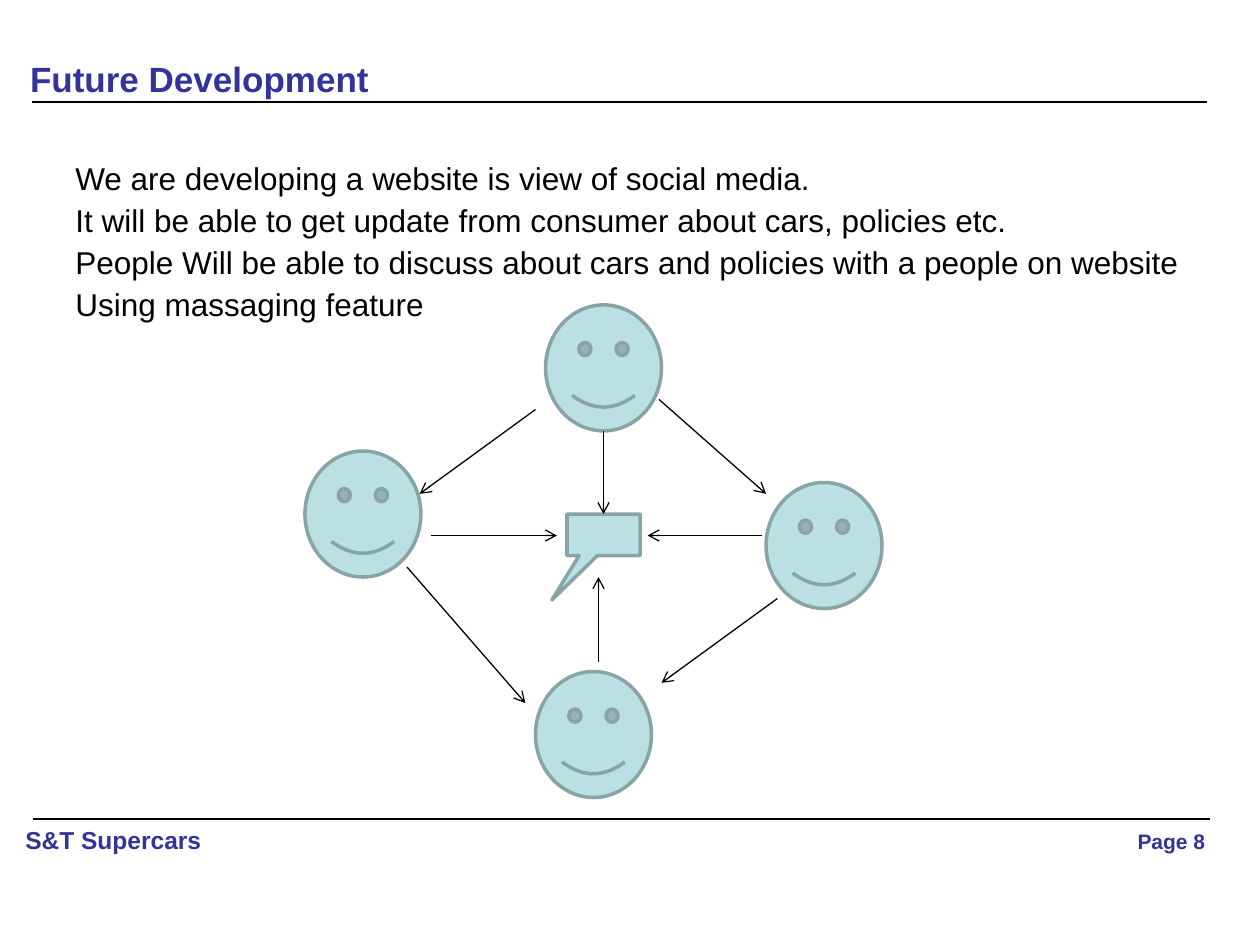
import pptx
import pptx.dml.color
import pptx.enum.shapes
import pptx.enum.text
import pptx.oxml
import pptx.oxml.ns
import pptx.util
from dataclasses import dataclass

Inches = pptx.util.Inches
Pt = pptx.util.Pt
SHAPE = pptx.enum.shapes.MSO_SHAPE
ALIGN = pptx.enum.text.PP_ALIGN
ANCHOR = pptx.enum.text.MSO_ANCHOR


@dataclass(frozen=True)
class Theme:
    font: str = "Arial"
    heading: str = "333399"
    ink: str = "000000"
    fill: str = "BBE0E3"
    outline: str = "89A4A7"
    title_size: float = 20
    body_size: float = 18
    brand_size: float = 14
    page_size: float = 12
    rule_width: float = 0.75
    outline_width: float = 2


def rgb(value):
    return pptx.dml.color.RGBColor.from_string(value)


class SlideBuilder:
    """Draws styled elements on the current slide."""

    def __init__(self, slide, theme):
        self.slide = slide
        self.theme = theme

    def text(self, box, lines, size, color, bold=False, align=ALIGN.LEFT,
             anchor=ANCHOR.TOP, wrap=True, spacing=None, before=0):
        sp = self.slide.shapes.add_textbox(*map(Inches, box))
        tf = sp.text_frame
        tf.word_wrap = wrap
        tf.vertical_anchor = anchor
        for i, line in enumerate(lines):
            p = tf.paragraphs[0] if i == 0 else tf.add_paragraph()
            p.alignment = align
            p.space_before = Pt(before)
            if spacing:
                p.line_spacing = spacing
            r = p.add_run()
            r.text = line
            r.font.name = self.theme.font
            r.font.size = Pt(size)
            r.font.bold = bold
            r.font.color.rgb = rgb(color)
        return sp

    def shape(self, kind, box, adjustments):
        sp = self.slide.shapes.add_shape(kind, *map(Inches, box))
        sp.shadow.inherit = False
        sp.fill.solid()
        sp.fill.fore_color.rgb = rgb(self.theme.fill)
        sp.line.color.rgb = rgb(self.theme.outline)
        sp.line.width = Pt(self.theme.outline_width)
        for i, value in enumerate(adjustments):
            sp.adjustments[i] = value
        return sp

    def face(self, left, top):
        return self.shape(SHAPE.SMILEY_FACE, (left, top, 0.92, 1), [0.093])

    def line(self, start, end, arrow=False):
        cxn = self.slide.shapes.add_connector(
            pptx.enum.shapes.MSO_CONNECTOR.STRAIGHT, *map(Inches, start + end))
        cxn.line.color.rgb = rgb(self.theme.ink)
        cxn.line.width = Pt(self.theme.rule_width)
        if arrow:
            ln = cxn.line._get_or_add_ln()
            tail = pptx.oxml.parse_xml(
                f'<a:tailEnd {pptx.oxml.ns.nsdecls("a")} type="arrow"/>')
            ln.append(tail)
        cxn._element.spPr.append(pptx.oxml.parse_xml(
            f'<a:effectLst {pptx.oxml.ns.nsdecls("a")}/>'))
        return cxn


def main():
    prs = pptx.Presentation()
    prs.slide_width, prs.slide_height = Inches(10), Inches(7.5)
    theme = Theme()
    s = SlideBuilder(prs.slides.add_slide(prs.slide_layouts[6]), theme)

    s.text((0.14, 0.25, 4.86, 0.75), ["Future Development"], theme.title_size,
           theme.heading, bold=True, anchor=ANCHOR.MIDDLE)
    s.text((0.5, 1.25, 9, 1.83), [
        "We are developing a website is view of social media.",
        "It will be able to get update from consumer about cars, policies etc.",
        "People Will be able to discuss about cars and policies with a people on website",
        "Using massaging feature",
    ], theme.body_size, theme.ink, spacing=0.9, before=4.5)

    s.line((0.25, 0.81), (9.58, 0.81))
    s.line((0.26, 6.5), (9.6, 6.5))
    s.text((0.05, 6.5, 1.7, 0.34), ["S&T Supercars"], theme.brand_size,
           theme.heading, bold=True, align=ALIGN.CENTER)
    s.text((8.93, 6.53, 0.74, 0.3), ["Page 8"], theme.page_size,
           theme.heading, bold=True, wrap=False)

    for left, top in [(6.08, 3.83), (2.42, 3.58), (4.25, 5.33), (4.33, 2.42)]:
        s.face(left, top)
    message = s.shape(SHAPE.RECTANGULAR_CALLOUT, (4.5, 4.08, 0.58, 0.33),
                      [-0.708, 1.57])

    for start, end in [
        ((4.25, 3.25), (3.33, 3.92)),
        ((6.17, 4.75), (5.25, 5.42)),
        ((3.23, 4.5), (4.17, 5.58)),
        ((5.23, 3.17), (6.08, 3.92)),
        ((3.42, 4.25), (4.42, 4.25)),
        ((4.75, 5.25), (4.75, 4.58)),
        ((6.05, 4.25), (5.14, 4.25)),
    ]:
        s.line(start, end, arrow=True)
    s.line((4.79, 3.42), (4.79, 4.08), arrow=True).end_connect(message, 0)

    prs.save("out.pptx")


if __name__ == "__main__":
    main()
